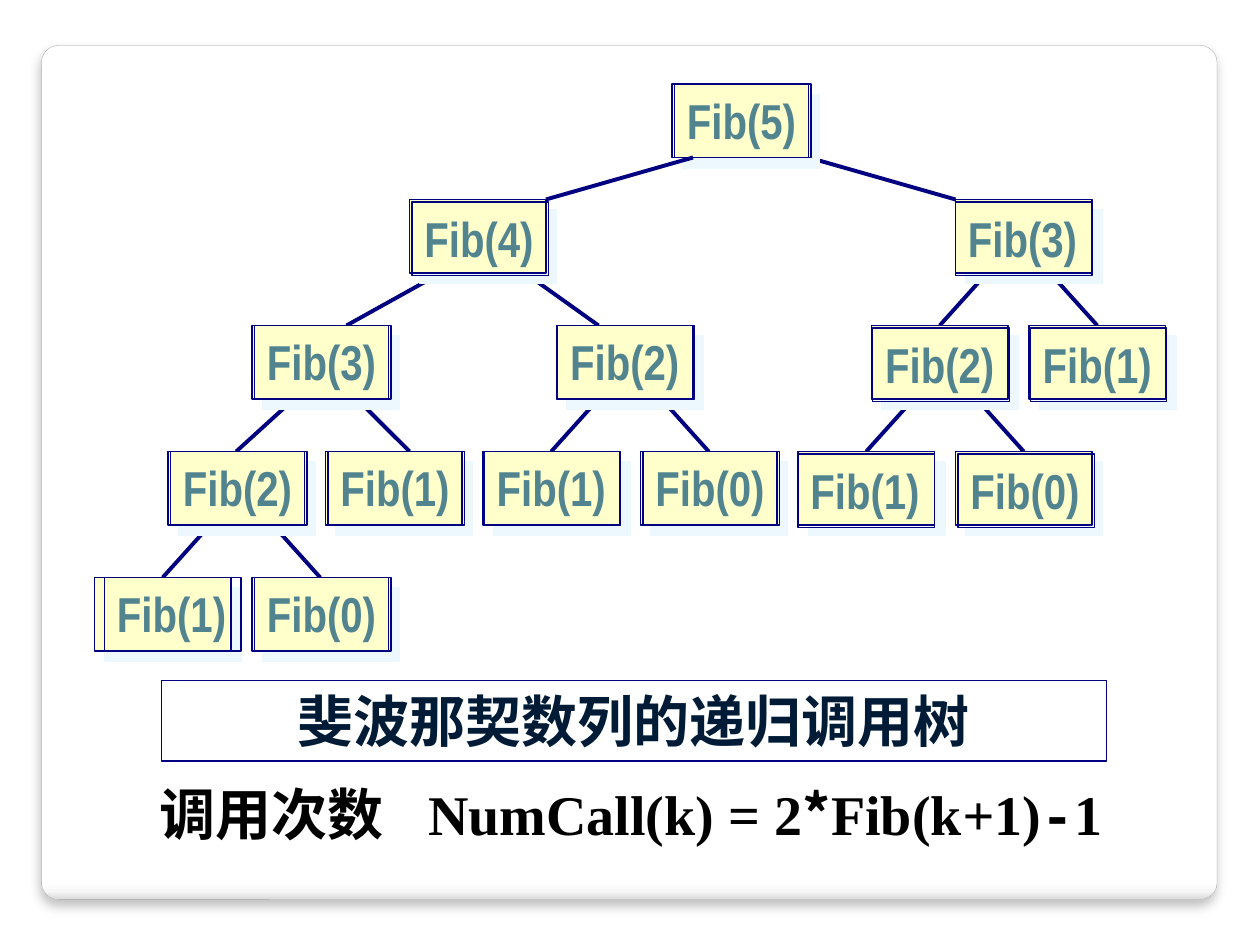
from lxml.etree import SubElement
from pptx import Presentation
from pptx.dml.color import RGBColor
from pptx.enum.shapes import MSO_CONNECTOR, MSO_SHAPE
from pptx.enum.text import MSO_AUTO_SIZE, PP_ALIGN
from pptx.oxml import parse_xml
from pptx.oxml.ns import nsdecls, qn
from pptx.util import Inches, Pt

COLORS = {"navy": "000080", "cream": "FFFFCC", "box shadow": "EDF8FE",
          "label": "51848E", "title": "001B36", "black": "000000",
          "panel line": "A4A4A4"}
PANEL_STOPS = [(0, "FFFFFF"), (98, "FFFFFF"), (99, "F7F7F7"), (100, "DADADA")]
SERIF, SANS, NARROW, MONO = ("Times New Roman", "Noto Sans CJK SC",
                             "Arial Narrow", "Courier New")

TITLE = "斐波那契数列的递归调用树"
# text, size, font, italic
FORMULA = [
    ("调用次数", 32, SERIF, False),
    ("\t", 36, SERIF, True),
    ("NumCall(k) = 2", 32, SERIF, False),
    ("*", 32, SANS, False),
    ("Fib(k", 32, SERIF, False),
    ("+", 32, SERIF, True),
    ("1)", 32, SERIF, False),
    ("-", 32, MONO, False),
    ("1", 32, SERIF, False),
]

# The tree grid has 12 units to the inch
UNIT = Inches(1) / 12
BOX_WIDTH, BOX_HEIGHT = 13, 7
ROW_TOPS = [8, 19, 31, 43, 55]
# argument, row, column, label offset (inches), branch from x to x (units)
CALLS = [
    (1, 3, 46, (0.01, 0), (57, 52)),
    (0, 3, 61, (0.02, 0), (63, 68)),
    (1, 3, 76, (0, 0.02), (87, 82)),
    (0, 3, 91, (0.02, 0.02), (93, 98)),
    (2, 3, 16, (0.02, 0), (28, 23)),
    (1, 3, 31, (0.02, 0), (34, 39)),
    (2, 2, 83, (0.01, 0.02), (94, 89)),
    (1, 2, 98, (0.01, 0.02), (100, 105)),
    (1, 4, 9, (0.08, 0), (20, 15)),
    (0, 4, 24, (0.02, 0), (26, 31)),
    (3, 2, 24, (0.02, 0), (42, 33)),
    (2, 2, 53, (0.01, 0), (50, 57)),
    (4, 1, 39, (0.02, 0.02), (66, 52)),
    (3, 1, 91, (0, 0.02), (77, 91)),
    (5, 0, 64, (0.02, 0), None),
]


def rgb(name):
    return RGBColor.from_string(COLORS[name])


def units(*values):
    return [round(value * UNIT) for value in values]


def set_line(shape, color, width):
    shape.line.color.rgb = rgb(color)
    shape.line.width = Pt(width)


def add_shadow(shape, color, alpha, blur, distance, angle):
    shape._element.spPr.append(parse_xml(
        f'<a:effectLst {nsdecls("a")}><a:outerShdw blurRad="{Pt(blur)}" '
        f'dist="{Pt(distance)}" dir="{angle * 60000}" algn="ctr" rotWithShape="0">'
        f'<a:srgbClr val="{COLORS[color]}"><a:alpha val="{alpha * 1000}"/>'
        '</a:srgbClr></a:outerShdw></a:effectLst>'))


def add_run(paragraph, text, size, font, color, italic=False):
    run = paragraph.add_run()
    run.text = text
    run.font.size, run.font.name = Pt(size), font
    run.font.bold, run.font.italic = True, italic
    run.font.color.rgb = rgb(color)
    SubElement(run._r.get_or_add_rPr(), qn("a:ea")).set("typeface", SANS)


def add_text_box(slide, left, top, width, height, wrap=True):
    box = slide.shapes.add_textbox(left, top, width, height)
    box.text_frame.word_wrap = wrap
    box.text_frame.auto_size = MSO_AUTO_SIZE.SHAPE_TO_FIT_TEXT
    return box, box.text_frame.paragraphs[0]


def add_panel(slide):
    panel = slide.shapes.add_shape(
        MSO_SHAPE.ROUNDED_RECTANGLE,
        Inches(0.33), Inches(0.36), Inches(9.33), Inches(6.78))
    panel.adjustments[0] = 0.02
    set_line(panel, "panel line", 0.16)
    stops = "".join(f'<a:gs pos="{position * 1000}"><a:srgbClr val="{color}"/></a:gs>'
                    for position, color in PANEL_STOPS)
    panel._element.spPr.find(qn("a:ln")).addprevious(parse_xml(
        f'<a:gradFill {nsdecls("a")}><a:gsLst>{stops}</a:gsLst>'
        '<a:lin ang="5400000" scaled="0"/></a:gradFill>'))
    add_shadow(panel, "black", 25, 6, 4, 90)


def add_call_box(slide, row, column):
    box = slide.shapes.add_shape(
        MSO_SHAPE.RECTANGLE, *units(column, ROW_TOPS[row], BOX_WIDTH, BOX_HEIGHT))
    box.fill.solid()
    box.fill.fore_color.rgb = rgb("cream")
    set_line(box, "navy", 0.75)
    add_shadow(box, "box shadow", 100, 0, 8.5, 45)
    return box


def add_branch(slide, box, row, column, ends):
    """Draw the line to a call; join it where it meets the middle of the top."""
    start, end = ends
    branch = slide.shapes.add_connector(
        MSO_CONNECTOR.STRAIGHT,
        *units(start, ROW_TOPS[row - 1] + BOX_HEIGHT, end, ROW_TOPS[row]))
    if abs(end - column - BOX_WIDTH / 2) < 1:
        branch.end_connect(box, 0)
    set_line(branch, "navy", 2.25)
    SubElement(branch._element.spPr, qn("a:effectLst"))
    return branch


def add_label(slide, argument, row, column, offset):
    left, top, width, height = units(column, ROW_TOPS[row], BOX_WIDTH, BOX_HEIGHT)
    label, paragraph = add_text_box(
        slide, left + Inches(offset[0]), top + Inches(offset[1]),
        width, height, wrap=False)
    set_line(label, "navy", 0.75)
    add_run(paragraph, f"Fib({argument})", 28, NARROW, "label")


def add_tree(slide):
    boxes = [add_call_box(slide, row, column) for _, row, column, _, _ in CALLS]
    for box, (argument, row, column, _, ends) in zip(boxes, CALLS):
        if ends:
            branch = add_branch(slide, box, row, column, ends)
            if argument != 4:  # all other branches start under the shadows
                boxes[0]._element.addprevious(branch._element)
    for argument, row, column, offset, _ in CALLS:
        add_label(slide, argument, row, column, offset)


def main():
    presentation = Presentation()
    presentation.slide_width, presentation.slide_height = Inches(10), Inches(7.5)
    slide = presentation.slides.add_slide(presentation.slide_layouts[6])
    add_panel(slide)

    _, formula = add_text_box(
        slide, Inches(1.17), Inches(6.08), Inches(8.24), Inches(0.7))
    tabs = SubElement(formula._p.get_or_add_pPr(), qn("a:tabLst"))
    SubElement(tabs, qn("a:tab"), pos=str(Inches(2.13)), algn="l")
    for text, size, font, italic in FORMULA:
        add_run(formula, text, size, font, "black", italic)

    title_box, title = add_text_box(
        slide, Inches(1.28), Inches(5.4), Inches(7.5), Inches(0.64))
    set_line(title_box, "navy", 0.75)
    title.alignment = PP_ALIGN.CENTER
    add_run(title, TITLE, 32, SANS, "title")

    add_tree(slide)
    presentation.save("out.pptx")


if __name__ == "__main__":
    main()
